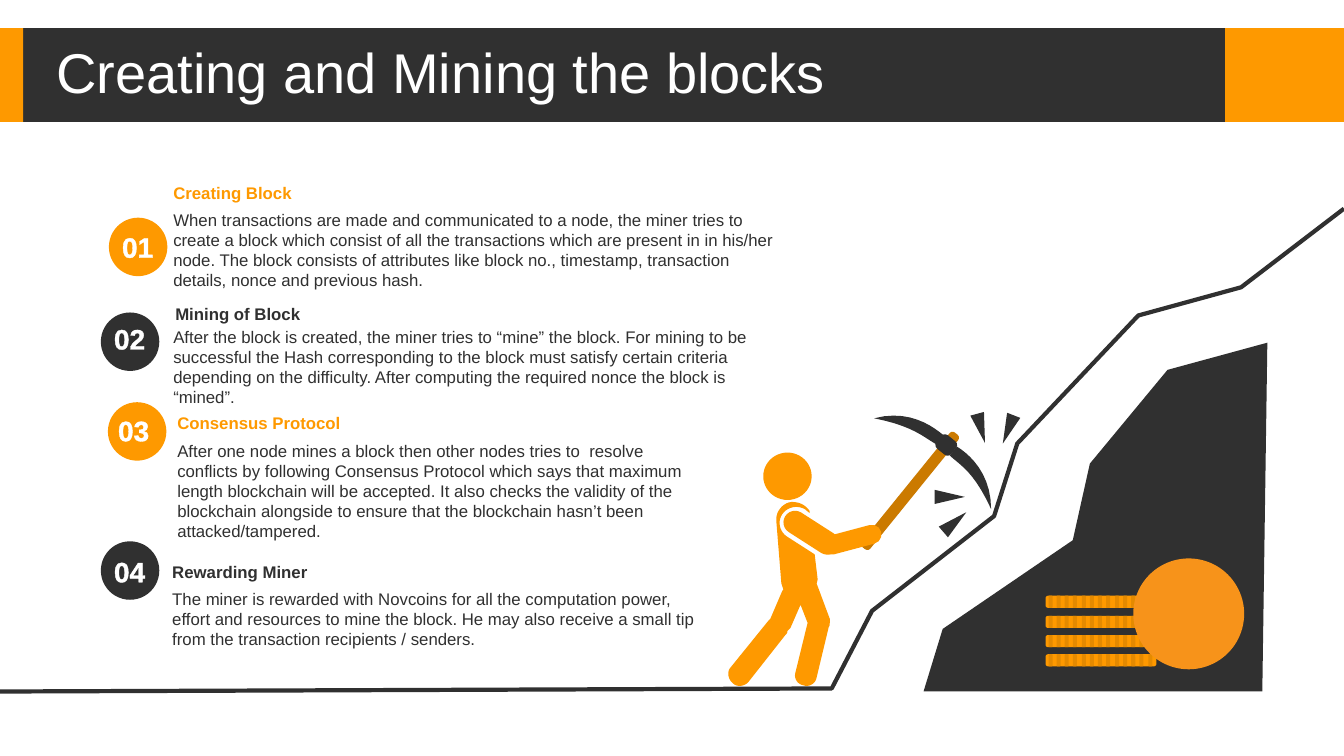
from typing import NamedTuple

from lxml import etree
from pptx import Presentation
from pptx import util as u
from pptx.dml import color
from pptx.enum import shapes, text
from pptx.oxml import ns

PX = 9144  # EMU per px, 100 px to the inch
ORANGE, DARK, WHITE = "FE9900", "303030", "FFFFFF"
WOOD, GROOVE, COIN = "CB7A00", "E58A00", "F7931A"
FONT = "Arial"
KIND = shapes.MSO_SHAPE


class Step(NamedTuple):
    number: str
    colour: str
    badge: tuple[int, int]
    label: tuple[int, int]
    heading_at: tuple[int, int]
    body_at: tuple[int, int]
    width: int
    body_height: int
    heading: str
    body: str


class Part(NamedTuple):
    kind: KIND
    left: int
    top: int
    width: int
    height: int
    colour: str
    rotation: float = 0
    rounding: float | None = None


STEPS = [
    Step("01", ORANGE, (108, 216), (111, 223), (162, 176), (162, 203), 622, 91,
         "Creating Block",
         "When transactions are made and communicated to a node, the miner tries to create a block "
         "which consist of all the transactions which are present in in his/her node. The block "
         "consists of attributes like block no., timestamp, transaction details, nonce and previous hash."),
    Step("02", DARK, (100, 310), (103, 314), (164, 296), (162, 319), 622, 91,
         "Mining of Block",
         "After the block is created, the miner tries to “mine” the block. For mining to be successful "
         "the Hash corresponding to the block must satisfy certain criteria depending on the "
         "difficulty. After computing the required nonce the block is “mined”."),
    Step("03", ORANGE, (107, 399), (107, 405), (166, 405), (166, 432), 541, 111,
         "Consensus Protocol",
         "After one node mines a block then other nodes tries to  resolve conflicts by following "
         "Consensus Protocol which says that maximum length blockchain will be accepted. It also checks "
         "the validity of the blockchain alongside to ensure that the blockchain hasn’t been "
         "attacked/tampered."),
    Step("04", DARK, (100, 537), (103, 545), (161, 552), (161, 579), 541, 71,
         "Rewarding Miner",
         "The miner is rewarded with Novcoins for all the computation power, effort and resources to "
         "mine the block. He may also receive a small tip from the transaction recipients / senders."),
]

BANNER = [
    Part(KIND.RECTANGLE, 1215, 28, 118, 93, ORANGE),
    Part(KIND.RECTANGLE, 0, 28, 1215, 93, DARK),
    Part(KIND.RECTANGLE, 0, 28, 23, 93, ORANGE),
]
PICKAXE = [
    Part(KIND.ROUNDED_RECTANGLE, 897, 414, 11, 146, WOOD, 39, 0.34),
    Part(KIND.ROUNDED_RECTANGLE, 929, 433, 19, 17, DARK, 39, 0.28),
]
HEAD_AND_ARM = [
    Part(KIND.OVAL, 757, 449, 48, 47, ORANGE),
    Part(KIND.ROUNDED_RECTANGLE, 793, 498, 23, 61, ORANGE, 302.7, 0.5),
    Part(KIND.ROUNDED_RECTANGLE, 835, 505, 19, 61, ORANGE, 255.1, 0.5),
]
SPARKS = [
    Part(KIND.ISOSCELES_TRIANGLE, left, top, 14, 30, DARK, angle)
    for left, top, angle in [(940, 503, 49.3), (935, 478, 90), (966, 410, 165), (993, 411, 201.1)]
]

# Outlines: two numbers make a straight segment, six make a Bézier curve
GROUND = [(0, 686), (825, 683), (865, 606), (986, 512), (1009, 440), (1129, 313), (1231, 285), (1333, 207)]
MOUNTAIN = [(1257, 340), (1158, 367), (1081, 460), (1064, 536), (935, 624), (916, 686), (1252, 686)]
LOWER_BLADE = [(949, 443), (962, 451, 983, 470, 983, 505), (966, 468, 953, 462, 942, 452)]
UPPER_BLADE = [(936, 432), (924, 422, 901, 406, 867, 415), (907, 423, 916, 434, 929, 441)]
MINER_BODY = [
    (785, 498), (793, 498, 799, 501, 803, 507), (803, 509), (798, 505),
    (790, 501, 781, 503, 776, 510), (771, 517, 773, 527, 780, 532), (808, 550), (811, 575),
    (810, 579), (823, 614), (823, 615, 823, 617, 823, 618), (823, 619, 823, 621, 822, 622),
    (810, 672), (809, 678, 803, 682, 797, 680), (791, 679, 787, 673, 789, 667), (801, 618),
    (794, 600), (784, 623), (781, 626), (781, 628, 780, 629, 779, 630), (742, 677),
    (738, 681, 731, 682, 727, 678), (722, 674, 721, 667, 724, 663), (762, 616), (764, 614),
    (776, 586), (777, 585), (775, 579), (770, 517), (769, 508, 776, 499, 785, 498),
]


def rgb(colour: str) -> color.RGBColor:
    return color.RGBColor.from_string(colour)


def paint(shape, colour: str) -> None:
    shape.shadow.inherit = False
    shape.fill.solid()
    shape.fill.fore_color.rgb = rgb(colour)
    shape.line.fill.background()


def draw(page, parts: list[Part]) -> None:
    for part in parts:
        shape = page.shapes.add_shape(part.kind, *(PX * side for side in part[1:5]))
        shape.rotation = part.rotation
        if part.rounding is not None:
            shape.adjustments[0] = part.rounding
        paint(shape, part.colour)


def flatten(outline: list[tuple], pieces: int = 10) -> list[tuple[float, float]]:
    points = [outline[0]]
    for segment in outline[1:]:
        if len(segment) == 2:
            points.append(segment)
            continue
        corners = [points[-1], segment[:2], segment[2:4], segment[4:]]
        for piece in range(1, pieces + 1):
            t = piece / pieces
            weights = [(1 - t) ** 3, 3 * t * (1 - t) ** 2, 3 * t * t * (1 - t), t ** 3]
            points.append(tuple(sum(w * c[axis] for w, c in zip(weights, corners)) for axis in (0, 1)))
    return [(x * PX, y * PX) for x, y in points]


def trace(page, outline: list[tuple], closed: bool = True):
    points = flatten(outline)
    builder = page.shapes.build_freeform(*points[0])
    builder.add_line_segments(points[1:], close=closed)
    return builder.convert_to_shape()


def style(box, colour: str, points: int, bold: bool = False) -> None:
    for span in box.text_frame.paragraphs[0].runs:
        span.font.name, span.font.size, span.font.bold = FONT, u.Pt(points), bold
        span.font.color.rgb = rgb(colour)


def write(page, words: str, at: tuple[int, int], size: tuple[int, int], colour: str,
          points: int = 12, bold: bool = False):
    box = page.shapes.add_textbox(*(PX * side for side in at + size))
    box.text_frame.word_wrap = True
    box.text_frame.auto_size = text.MSO_AUTO_SIZE.SHAPE_TO_FIT_TEXT
    box.text_frame.text = words
    style(box, colour, points, bold)
    return box


def outline_text(box, colour: str) -> None:
    for properties in box.element.iter(ns.qn("a:rPr")):
        line = etree.Element(ns.qn("a:ln"), w=str(u.Pt(1)))
        fill = etree.SubElement(line, ns.qn("a:solidFill"))
        etree.SubElement(fill, ns.qn("a:srgbClr"), val=colour)
        properties.insert(0, line)


def add_title(page, words: str) -> None:
    title = page.shapes.title
    title.left, title.top, title.width, title.height = (PX * side for side in (46, 35, 970, 79))
    title.text_frame.text = words
    title.text_frame.auto_size = text.MSO_AUTO_SIZE.NONE
    title.text_frame.vertical_anchor = text.MSO_ANCHOR.MIDDLE
    para = title.text_frame.paragraphs[0]
    para.alignment = text.PP_ALIGN.LEFT
    para.line_spacing, para.space_before = 0.9, u.Pt(10)
    style(title, WHITE, 40)
    title.element.getparent().append(title.element)  # in front of the banner


def add_step(page, step: Step) -> None:
    write(page, step.heading, step.heading_at, (step.width, 30), step.colour, bold=True)
    write(page, step.body, step.body_at, (step.width, step.body_height), DARK)
    label = write(page, step.number, step.label, (51, 44), WHITE, 20, bold=True)
    label.text_frame.paragraphs[0].alignment = text.PP_ALIGN.CENTER
    outline_text(label, WHITE)


def add_coins(page) -> None:
    for row in range(4):
        top = 649 - row * 58 // 3
        grooves = [Part(KIND.ROUNDED_RECTANGLE, 1040 + column * 33 // 4, top, 4, 12, GROOVE, 0, 0.2)
                   for column in range(13)]
        draw(page, [Part(KIND.ROUNDED_RECTANGLE, 1037, top, 110, 12, ORANGE, 0, 0.2)] + grooves)
    draw(page, [Part(KIND.OVAL, 1124, 554, 110, 110, COIN)])


def main() -> None:
    deck = Presentation()
    deck.slide_width, deck.slide_height = u.Inches(13.33), u.Inches(7.5)
    page = deck.slides.add_slide(deck.slide_layouts[5])

    # Banner and title
    draw(page, BANNER)
    add_title(page, "Creating and Mining the blocks")

    # Numbered steps, all badges behind the text
    draw(page, [Part(KIND.OVAL, *step.badge, 58, 58, step.colour) for step in STEPS])
    for step in STEPS:
        add_step(page, step)

    # Ground line and mountain
    ground = trace(page, GROUND, closed=False)
    ground.shadow.inherit = False
    ground.fill.background()
    ground.line.color.rgb, ground.line.width = rgb(DARK), u.Pt(3)
    paint(trace(page, MOUNTAIN), DARK)

    # Miner with pickaxe, coins and sparks
    draw(page, PICKAXE)
    for outline, colour in [(LOWER_BLADE, DARK), (UPPER_BLADE, DARK), (MINER_BODY, ORANGE)]:
        paint(trace(page, outline), colour)
    draw(page, HEAD_AND_ARM)
    add_coins(page)
    draw(page, SPARKS)

    deck.save("out.pptx")


if __name__ == "__main__":
    main()
